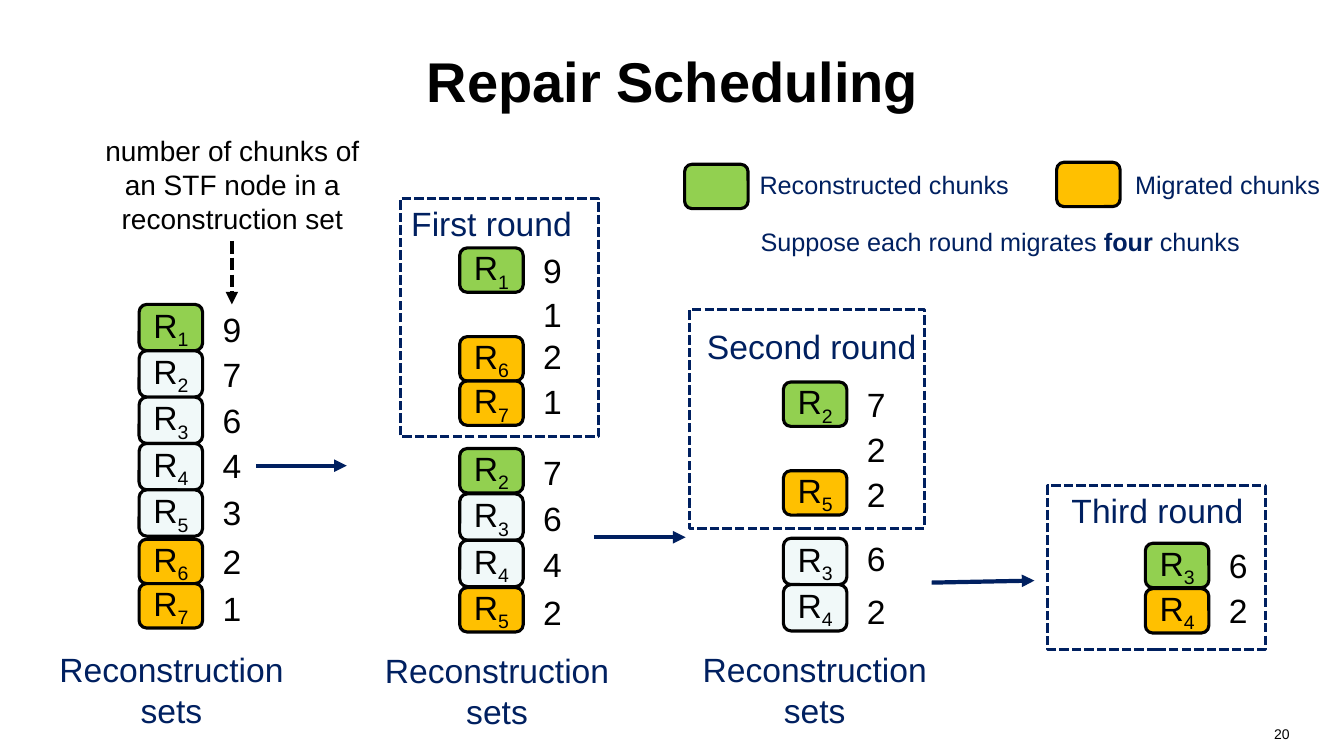
import pptx
import pptx.dml.color
import pptx.enum.dml
import pptx.enum.shapes
import pptx.enum.text
import pptx.oxml
import pptx.oxml.ns
import pptx.util
from pptx.util import Inches

HUES = {"ink": "000000", "navy": "002060", "pale": "F1F9F9",
        "green": "92D050", "gold": "FFC000"}
ALIGN = pptx.enum.text.PP_ALIGN
ANCHOR = pptx.enum.text.MSO_ANCHOR
KIND = pptx.enum.shapes.MSO_SHAPE
DASH = pptx.enum.dml.MSO_LINE.SQUARE_DOT


def hue(name):
    return pptx.dml.color.RGBColor.from_string(HUES[name])


def write(shape, runs, size, tint="ink", align=ALIGN.CENTER,
          anchor=ANCHOR.MIDDLE, wrap=True):
    """Fill a shape with one paragraph; runs are (text, style) pairs."""
    frame = shape.text_frame
    frame.word_wrap = wrap
    frame.vertical_anchor = anchor
    para = frame.paragraphs[0]
    para.alignment = align
    for text, style in runs:
        run = para.add_run()
        run.text = text
        form = {"name": "Arial", "size": pptx.util.Pt(size), "bold": style == "bold"}
        for key, value in form.items():
            setattr(run.font, key, value)
        run.font.color.rgb = hue(tint)
        if style == "sub":
            run.font._element.set("baseline", "-25000")


deck = pptx.Presentation()
deck.slide_width, deck.slide_height = Inches(13.33), Inches(7.5)
slide = deck.slides.add_slide(deck.slide_layouts[5])
shapes = slide.shapes

title = shapes.title
place = {"left": 0.67, "top": 0.17, "width": 12, "height": 1.25}
for key, value in place.items():
    setattr(title, key, Inches(value))
write(title, [("Repair Scheduling", "bold")], 40)

# Dashed frames around the rounds
for box in [(3.97, 1.97, 1.97, 2.36), (6.84, 3.07, 2.33, 2.17),
            (10.39, 4.82, 2.16, 1.62)]:
    frame = shapes.add_shape(KIND.RECTANGLE, *map(Inches, box))
    frame.shadow.inherit = False
    frame.fill.background()
    frame.line.color.rgb = hue("navy")
    frame.line.width = pptx.util.Pt(2.25)
    frame.line.dash_style = DASH

# Chips: left, top, height, step, first index, colours
STACKS = [
    (1.38, 3.02, 0.46, 0.46, 1, ["green"] + ["pale"] * 4),
    (1.38, 5.35, 0.44, 0.44, 6, ["gold", "gold"]),
    (4.56, 2.46, 0.44, 0.44, 1, ["green"]),
    (4.56, 3.34, 0.44, 0.44, 6, ["gold", "gold"]),
    (4.56, 4.9, 0.46, 0.46, 3, ["pale", "pale"]),
    (4.56, 4.45, 0.44, 0.44, 2, ["green"]),
    (4.56, 5.83, 0.44, 0.44, 5, ["gold"]),
    (7.77, 3.79, 0.44, 0.44, 2, ["green"]),
    (7.77, 4.67, 0.44, 0.44, 5, ["gold"]),
    (7.77, 5.34, 0.46, 0.46, 3, ["pale", "pale"]),
    (11.36, 5.39, 0.44, 0.45, 3, ["green", "gold"]),
    (6.79, 1.63, 0.44, 0.44, None, ["green"]),
    (10.48, 1.61, 0.44, 0.44, None, ["gold"]),
]
for left, top, high, step, first, fills in STACKS:
    for row, fill in enumerate(fills):
        chip = shapes.add_shape(KIND.ROUNDED_RECTANGLE, Inches(left),
                                Inches(top + row * step), Inches(0.63), Inches(high))
        chip.shadow.inherit = False
        chip.fill.solid()
        chip.fill.fore_color.rgb = hue(fill)
        chip.line.color.rgb = hue("ink")
        chip.line.width = pptx.util.Pt(2.25)
        if first:
            write(chip, [("R", ""), (str(first + row), "sub")], 24)

# Chunk counts beside the chips: left, digits, tops
COUNTS = [
    (2.09, "9764321", [3.07, 3.52, 3.98, 4.42, 4.89, 5.38, 5.84]),
    (5.27, "9121", [2.49, 2.93, 3.34, 3.79]),
    (5.27, "7642", [4.49, 4.95, 5.41, 5.88]),
    (8.48, "722", [3.82, 4.26, 4.71]),
    (8.48, "62", [5.35, 5.87]),
    (12.07, "62", [5.42, 5.86]),
]
for left, digits, tops in COUNTS:
    for digit, top in zip(digits, tops):
        count = shapes.add_textbox(Inches(left), Inches(top), Inches(0.42), Inches(0.38))
        write(count, [(digit, "")], 24)

# Headings and set labels
LABELS = [
    ("First round", 3.97, 1.83, 1.81, 0.77),
    ("Second round", 6.87, 3.08, 2.36, 0.7),
    ("Third round", 10.48, 4.73, 2, 0.65),
    ("Reconstruction sets", 0.43, 6.44, 2.54, 0.8),
    ("Reconstruction sets", 3.66, 6.45, 2.54, 0.8),
    ("Reconstruction sets", 6.81, 6.44, 2.54, 0.8),
]
for text, *box in LABELS:
    write(shapes.add_textbox(*map(Inches, box)), [(text, "")], 24, "navy")

# Legend and remark
NOTES = [
    ([("Reconstructed chunks", "")], 7.42, 1.63, 2.7, 0.4),
    ([("Migrated chunks", "")], 11.15, 1.63, 2.05, 0.4),
    ([("Suppose each round migrates ", ""), ("four", "bold"), (" chunks", "")],
     7.42, 2.2, 5, 0.4),
]
for runs, *box in NOTES:
    write(shapes.add_textbox(*map(Inches, box)), runs, 18, "navy",
          anchor=ANCHOR.TOP, wrap=False)

hint = shapes.add_textbox(Inches(0.94), Inches(1.28), Inches(2.73), Inches(1.11))
write(hint, [("number of chunks of an STF node in a reconstruction set", "")], 20,
      anchor=ANCHOR.TOP)
page = shapes.add_textbox(Inches(9.78), Inches(7.15), Inches(3.11), Inches(0.35))
write(page, [("20", "")], 10, align=ALIGN.RIGHT, anchor=ANCHOR.TOP)

# Arrows: ends, colour, dash
ARROWS = [
    ((2.54, 4.62, 3.44, 4.62), "navy", None),
    ((5.89, 5.33, 6.8, 5.33), "navy", None),
    ((9.24, 5.78, 10.26, 5.76), "navy", None),
    ((2.3, 2.39, 2.3, 3.02), "ink", DASH),
]
for ends, tint, dash in ARROWS:
    arrow = shapes.add_connector(pptx.enum.shapes.MSO_CONNECTOR.STRAIGHT,
                                 *map(Inches, ends))
    arrow.line.color.rgb = hue(tint)
    arrow.line.width = pptx.util.Pt(3)
    arrow.line.dash_style = dash
    props = arrow._element.spPr
    head = pptx.oxml.parse_xml(
        f'<a:tailEnd {pptx.oxml.ns.nsdecls("a")} type="triangle"/>')
    props.find(pptx.oxml.ns.qn("a:ln")).append(head)
    props.append(pptx.oxml.parse_xml(f'<a:effectLst {pptx.oxml.ns.nsdecls("a")}/>'))

deck.save("out.pptx")
